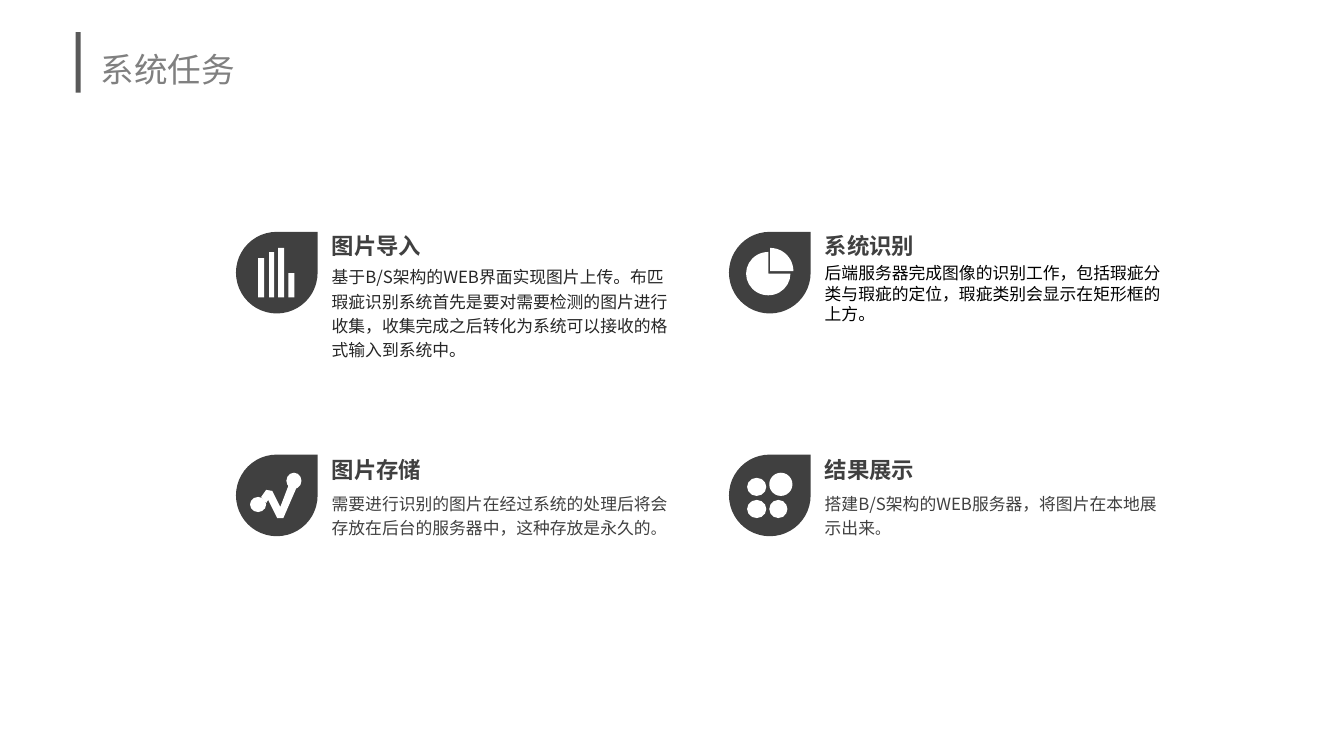
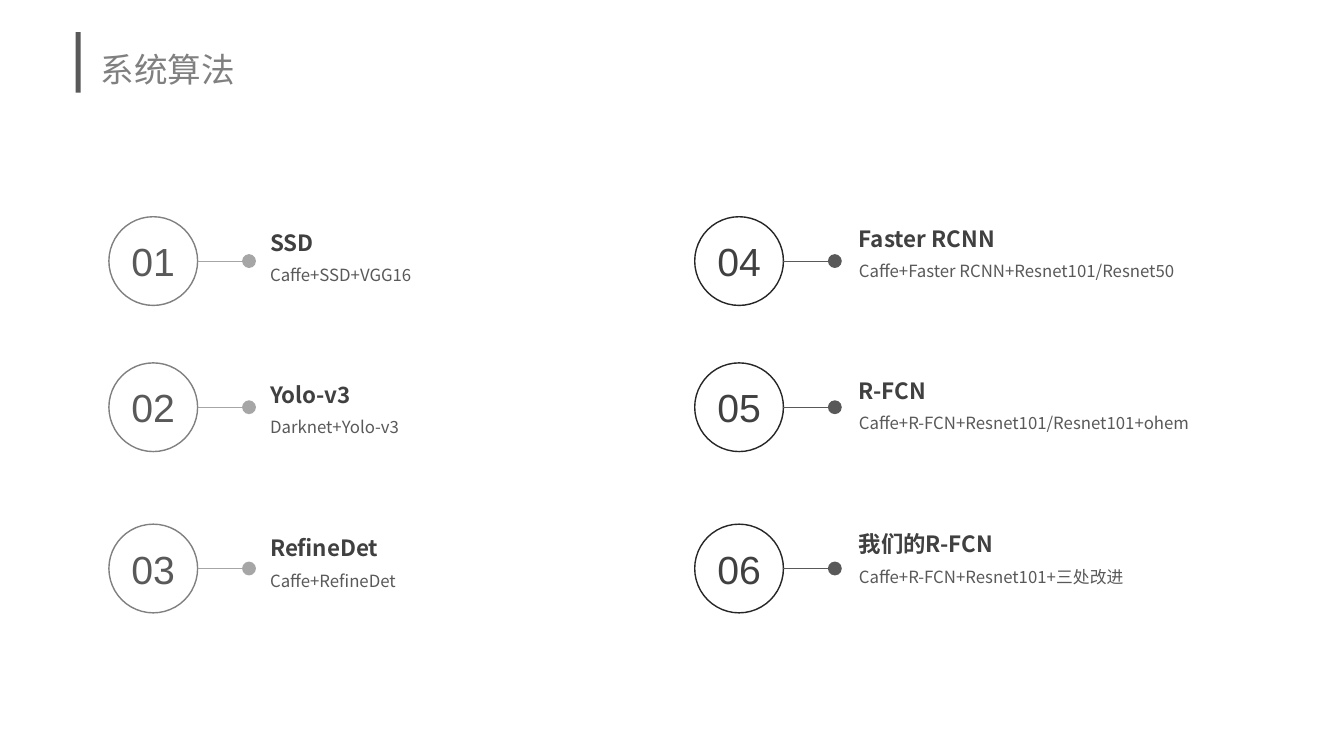
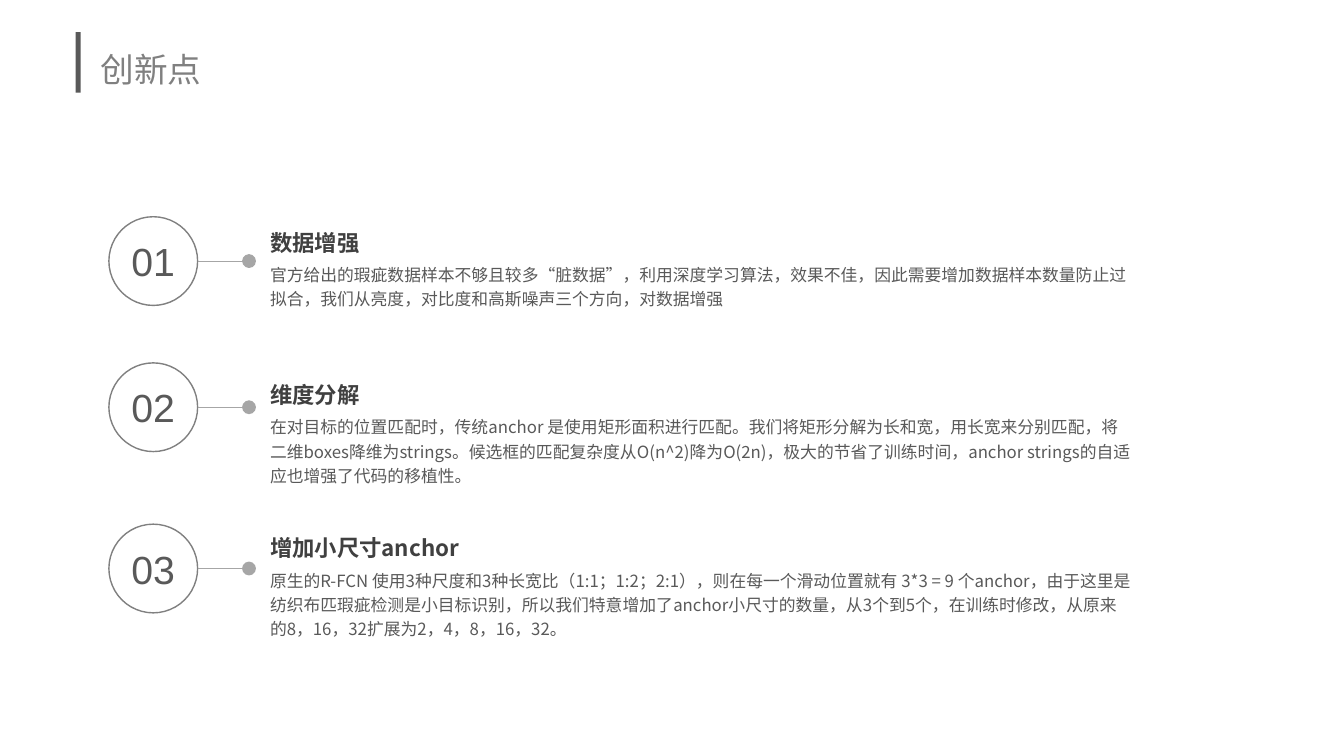
from dataclasses import dataclass

from pptx import Presentation
from pptx import util as u
from pptx.dml.color import RGBColor
from pptx.enum import shapes, text
from pptx.oxml import ns, xmlchemy

KIND = shapes.MSO_SHAPE
ANCHOR = text.MSO_ANCHOR
PX = 9144  # one px is a hundredth of an inch


@dataclass(frozen=True)
class Theme:
    # Colours
    white: str = "FFFFFF"
    black: str = "000000"
    ink: str = "262626"
    dark: str = "404040"
    slate: str = "595959"
    grey: str = "808080"
    pale: str = "A6A6A6"
    # Fonts and sizes in points
    sans: str = "Noto Sans CJK SC"
    digit: str = "Arial"
    title: int = 24
    number: int = 28
    head: int = 16
    body: int = 12
    stop: float = 10.5


T = Theme()


def rgb(code):
    return RGBColor.from_string(code)


def add(parent, tag, **attrs):
    node = xmlchemy.OxmlElement(tag)
    for key, value in attrs.items():
        node.set(key, value)
    parent.append(node)
    return node


class Deck:
    def __init__(self, wide, high):
        self.prs = Presentation()
        self.prs.slide_width, self.prs.slide_height = wide * PX, high * PX
        self.slide = None

    def page(self, title):
        self.slide = self.prs.slides.add_slide(self.prs.slide_layouts[6])
        self.shape(KIND.RECTANGLE, (75, 32, 5, 60), T.slate)
        self.label(title, (90, 30, 1150, 66), T.title, T.grey, gap=1.3,
                   anchor=ANCHOR.MIDDLE)

    def paint(self, item, fill=None, line=None):
        item.shadow.inherit = False
        if fill:
            item.fill.solid()
            item.fill.fore_color.rgb = rgb(fill)
        else:
            item.fill.background()
        if line:
            item.line.color.rgb = rgb(line)
            item.line.width = u.Pt(1)
        else:
            item.line.fill.background()
        return item

    def shape(self, kind, box, fill=None, line=None):
        item = self.slide.shapes.add_shape(kind, *(n * PX for n in box))
        return self.paint(item, fill, line)

    def outline(self, points, fill):
        pen = self.slide.shapes.build_freeform(*points[0], scale=PX)
        pen.add_line_segments(points[1:], close=True)
        return self.paint(pen.convert_to_shape(), fill)

    def style(self, para, size, color, face=T.sans, bold=False):
        font = para.font
        font.size, font.name, font.bold = u.Pt(size), face, bold
        font.color.rgb = rgb(color)
        add(para._p.pPr.find(ns.qn("a:defRPr")), "a:ea", typeface=face)

    def label(self, words, box, size, color, bold=False, gap=None,
              anchor=ANCHOR.TOP, inset=(10, 5), stop=None):
        item = self.slide.shapes.add_textbox(*(n * PX for n in box))
        frame = item.text_frame
        frame.word_wrap, frame.vertical_anchor = True, anchor
        frame.margin_left = frame.margin_right = inset[0] * PX
        frame.margin_top = frame.margin_bottom = inset[1] * PX
        para = frame.paragraphs[0]
        para.add_run().text = words
        if stop:
            run = para.add_run()
            run.text, run.font.size = stop, u.Pt(T.stop)
        if gap:
            para.line_spacing = gap
        self.style(para, size, color, bold=bold)

    def ring(self, words, x, y, line, color):
        item = self.shape(KIND.OVAL, (x, y, 88, 88), line=line)
        frame = item.text_frame
        frame.word_wrap, frame.vertical_anchor = False, ANCHOR.MIDDLE
        para = frame.paragraphs[0]
        para.text, para.alignment = words, text.PP_ALIGN.CENTER
        self.style(para, T.number, color, T.digit)

    def stem(self, x, y, span, color):
        item = self.slide.shapes.add_connector(
            shapes.MSO_CONNECTOR.STRAIGHT,
            x * PX, y * PX, (x + span) * PX, y * PX)
        item.line.color.rgb = rgb(color)
        item.line.width = u.Pt(0.5)
        add(item.line._get_or_add_ln(), "a:tailEnd", type="oval", w="lg", len="lg")
        add(item._element.spPr, "a:effectLst")

    def step(self, num, x, tops, words, wide, look):
        """Numbered ring, its stem, a heading and a line of detail."""
        top, mid = tops
        self.ring(f"{num:02}", x, top, look.ring, look.digit)
        self.stem(x + 88, top + 44, 51, look.stem)
        left, mid = x + look.shift, mid - look.lift
        self.label(words[1], (left, mid + 32, wide, 57), T.body, T.slate, gap=1.2)
        self.label(words[0], (left, mid, 388, 37), T.head, T.dark, bold=True)

    # Icons, placed from the corner of their drop
    def marks(self, kind, x, y, boxes):
        for dx, dy, w, h in boxes:
            self.shape(kind, (x + dx, y + dy, w, h), T.white)

    def bars(self, x, y):
        self.marks(KIND.RECTANGLE, x, y, [
            (22, 26, 6, 39), (33, 20, 5, 45), (42, 16, 6, 49), (52, 41, 6, 24)])

    def pie(self, x, y):
        self.shape(KIND.PIE, (x + 17, y + 20, 44, 43), T.white)
        slice_ = self.shape(KIND.PIE, (x + 18, y + 16, 46, 46), T.white)
        slice_.adjustments[0], slice_.adjustments[1] = 162.0, 0.0

    def trend(self, x, y):
        self.marks(KIND.OVAL, x, y, [(50, 18, 15, 16), (14, 42, 16, 15)])
        path = [(52, 31), (44, 52), (36, 36), (30, 35), (25, 42),
                (30, 48), (32, 45), (41, 63), (47, 63), (60, 33)]
        self.outline([(x + dx, y + dy) for dx, dy in path], T.white)

    def dots(self, x, y):
        self.marks(KIND.OVAL, x, y, [
            (18, 23, 19, 18), (40, 18, 23, 23), (18, 45, 19, 18), (40, 45, 18, 18)])


@dataclass(frozen=True)
class Look:
    ring: str
    digit: str
    stem: str
    shift: int
    lift: int


SOFT = Look(T.grey, T.slate, T.pale, 150, 0)
BOLD = Look(T.ink, T.dark, T.slate, 153, 4)
ROWS = [(215, 222), (360, 373), (520, 525)]


def tasks(deck):
    deck.page("系统任务")
    cells = [
        (deck.bars, "图片导入", "基于B/S架构的WEB界面实现图片上传。布匹瑕疵识别系统首先是要对需要检测的图片进行收集，收集完成之后转化为系统可以接收的格式输入到系统中。", T.ink, 1.2, None),
        (deck.pie, "系统识别", "后端服务器完成图像的识别工作，包括瑕疵分类与瑕疵的定位，瑕疵类别会显示在矩形框的上方。", T.black, None, None),
        (deck.trend, "图片存储", "需要进行识别的图片在经过系统的处理后将会存放在后台的服务器中，这种存放是永久的", T.dark, 1.2, "。"),
        (deck.dots, "结果展示", "搭建B/S架构的WEB服务器，将图片在本地展示出来", T.dark, 1.2, "。"),
    ]
    for i, (icon, head, body, color, gap, stop) in enumerate(cells):
        row, col = divmod(i, 2)
        x, y = 234 + 489 * col, 230 + 221 * row
        deck.shape(KIND.TEAR, (x, y, 81, 81), T.dark)
        icon(x, y)
        deck.label(head, (x + 88, 216 + 222 * row, 267, 38), T.head, T.dark,
                   bold=True, gap=1.4, inset=(7, 4))
        deck.label(body, (x + 88, 257 + 225 * row, 356, 121), T.body, color,
                   gap=gap, inset=(7, 4), stop=stop)


def methods(deck):
    deck.page("系统算法")
    nets = [
        ("SSD", "Caffe+SSD+VGG16"),
        ("Yolo-v3", "Darknet+Yolo-v3"),
        ("RefineDet", "Caffe+RefineDet"),
        ("Faster RCNN", "Caffe+Faster RCNN+Resnet101/Resnet50"),
        ("R-FCN", "Caffe+R-FCN+Resnet101/Resnet101+ohem"),
        ("我们的R-FCN", "Caffe+R-FCN+Resnet101+三处改进"),
    ]
    for i, words in enumerate(nets):
        col, row = divmod(i, 3)
        deck.step(i + 1, 108 + 581 * col, ROWS[row], words, 388, (SOFT, BOLD)[col])


def ideas(deck):
    deck.page("创新点")
    points = [
        ("数据增强", "官方给出的瑕疵数据样本不够且较多“脏数据”，利用深度学习算法，效果不佳，因此需要增加数据样本数量防止过拟合，我们从亮度，对比度和高斯噪声三个方向，对数据增强"),
        ("维度分解", "在对目标的位置匹配时，传统anchor 是使用矩形面积进行匹配。我们将矩形分解为长和宽，用长宽来分别匹配，将二维boxes降维为strings。候选框的匹配复杂度从O(n^2)降为O(2n)，极大的节省了训练时间，anchor strings的自适应也增强了代码的移植性。"),
        ("增加小尺寸anchor", "原生的R-FCN 使用3种尺度和3种长宽比（1:1；1:2；2:1），则在每一个滑动位置就有 3*3 = 9 个anchor，由于这里是纺织布匹瑕疵检测是小目标识别，所以我们特意增加了anchor小尺寸的数量，从3个到5个，在训练时修改，从原来的8，16，32扩展为2，4，8，16，32。"),
    ]
    for i, words in enumerate(points):
        deck.step(i + 1, 108, ROWS[i], words, 876, SOFT)


def main():
    deck = Deck(1333, 750)
    for build in (tasks, methods, ideas):
        build(deck)
    deck.prs.save("out.pptx")


if __name__ == "__main__":
    main()
